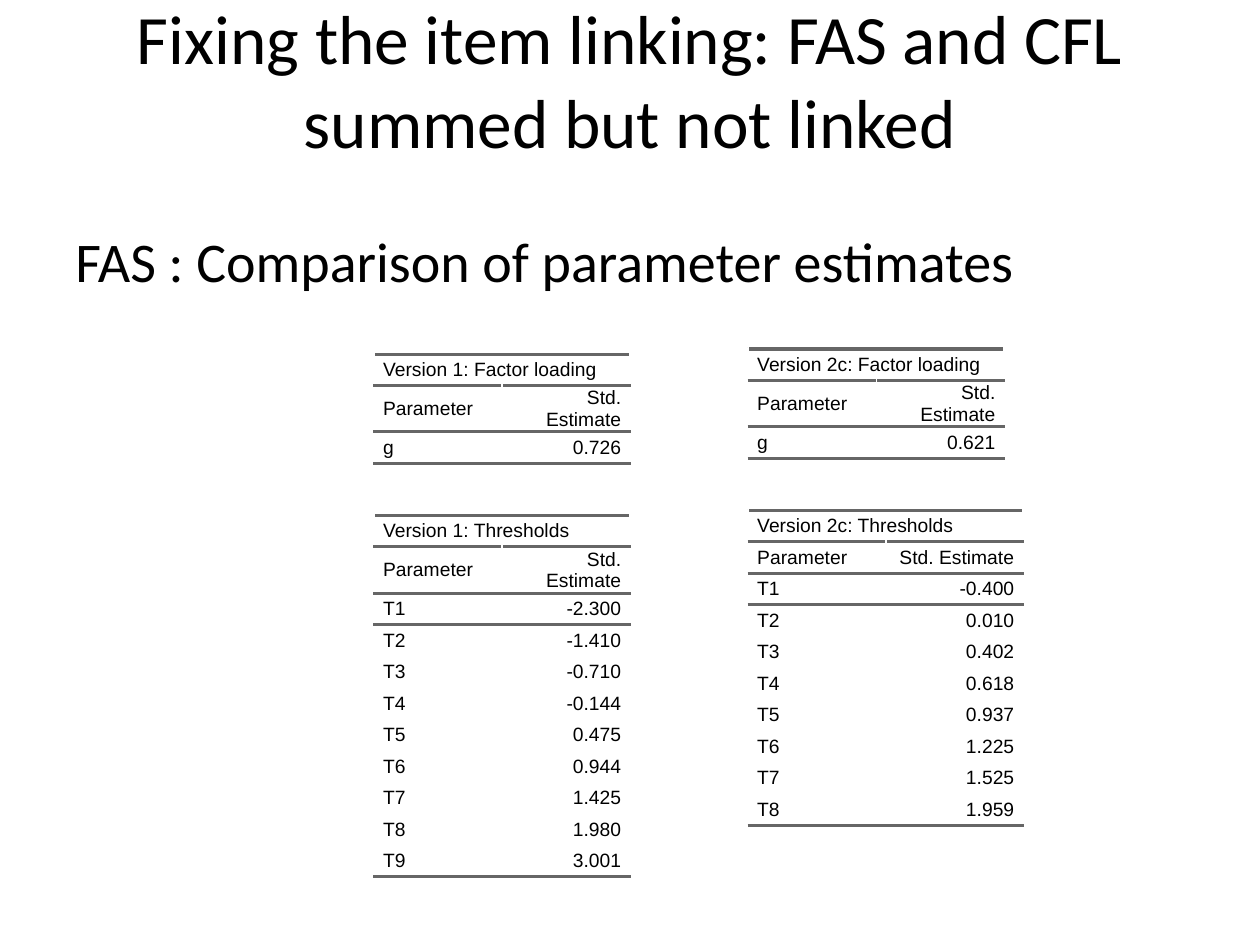
import pptx
import pptx.dml.color
import pptx.enum.text
import pptx.oxml
import pptx.oxml.ns
import pptx.util

Inches = pptx.util.Inches
Pt = pptx.util.Pt
ALIGN = pptx.enum.text.PP_ALIGN
ANCHOR = pptx.enum.text.MSO_ANCHOR


def color(hex_value):
    return pptx.dml.color.RGBColor.from_string(hex_value)


class ParameterSlide:
    """Holds the slide and its style, and adds headings and ruled tables."""

    ink = "000000"
    rule = "666666"
    heading_font = "Calibri"
    table_font = "Arial"
    table_size = 11
    row_height = 0.25
    padding = 0.07

    def __init__(self, presentation):
        self.slide = presentation.slides.add_slide(presentation.slide_layouts[6])

    def add_text(self, frame, text, font, size, align):
        paragraph = frame.paragraphs[0]
        paragraph.alignment = align
        run = paragraph.add_run()
        run.text = text
        run.font.name = font
        run.font.size = Pt(size)
        run.font.color.rgb = color(self.ink)

    def heading(self, text, top, height, size, align, anchor):
        box = self.slide.shapes.add_textbox(
            Inches(0.5), Inches(top), Inches(9), Inches(height))
        frame = box.text_frame
        frame.word_wrap = True
        frame.vertical_anchor = anchor
        self.add_text(frame, text, self.heading_font, size, align)

    def border(self, cell, edge):
        cell._tc.get_or_add_tcPr().append(pptx.oxml.parse_xml(
            f'<a:{edge} {pptx.oxml.ns.nsdecls("a")} w="{Pt(2)}"><a:solidFill>'
            f'<a:srgbClr val="{self.rule}"/></a:solidFill></a:{edge}>'))

    def estimates(self, title, left, top, width, values):
        rows = [(title, ""), ("Parameter", "Std. Estimate"), *values]
        table = self.slide.shapes.add_table(
            len(rows), 2, Inches(left), Inches(top), Inches(width),
            Inches(self.row_height * len(rows))).table
        table.first_row = table.horz_banding = False
        table.cell(0, 0).merge(table.cell(0, 1))
        ruled_edges = {0, 1, 2, len(rows)}
        for r, row in enumerate(rows):
            for c, text in enumerate(row):
                cell = table.cell(r, c)
                cell.margin_top = cell.margin_bottom = 0
                cell.margin_left = cell.margin_right = Inches(self.padding)
                cell.vertical_anchor = ANCHOR.MIDDLE
                if r in ruled_edges:
                    self.border(cell, "lnT")
                if r + 1 in ruled_edges:
                    self.border(cell, "lnB")
                cell.fill.background()
                if text:
                    self.add_text(cell.text_frame, text, self.table_font,
                                  self.table_size, ALIGN.RIGHT if c else ALIGN.LEFT)


def thresholds(*values):
    return [(f"T{i}", value) for i, value in enumerate(values, 1)]


def main():
    presentation = pptx.Presentation()
    presentation.slide_width = Inches(10)
    presentation.slide_height = Inches(7.5)
    page = ParameterSlide(presentation)
    page.heading("Fixing the item linking: FAS and CFL summed but not linked",
                 0, 1.25, 39.6, ALIGN.CENTER, ANCHOR.MIDDLE)
    page.heading("FAS : Comparison of parameter estimates",
                 1.75, 4.95, 32, ALIGN.LEFT, ANCHOR.TOP)
    page.estimates("Version 1: Factor loading", 2.97, 2.81, 2.03, [("g", "0.726")])
    page.estimates("Version 1: Thresholds", 2.97, 4.09, 2.03, thresholds(
        "-2.300", "-1.410", "-0.710", "-0.144", "0.475",
        "0.944", "1.425", "1.980", "3.001"))
    page.estimates("Version 2c: Factor loading", 5.94, 2.77, 2.03, [("g", "0.621")])
    page.estimates("Version 2c: Thresholds", 5.94, 4.05, 2.18, thresholds(
        "-0.400", "0.010", "0.402", "0.618",
        "0.937", "1.225", "1.525", "1.959"))
    presentation.save("out.pptx")


if __name__ == "__main__":
    main()
